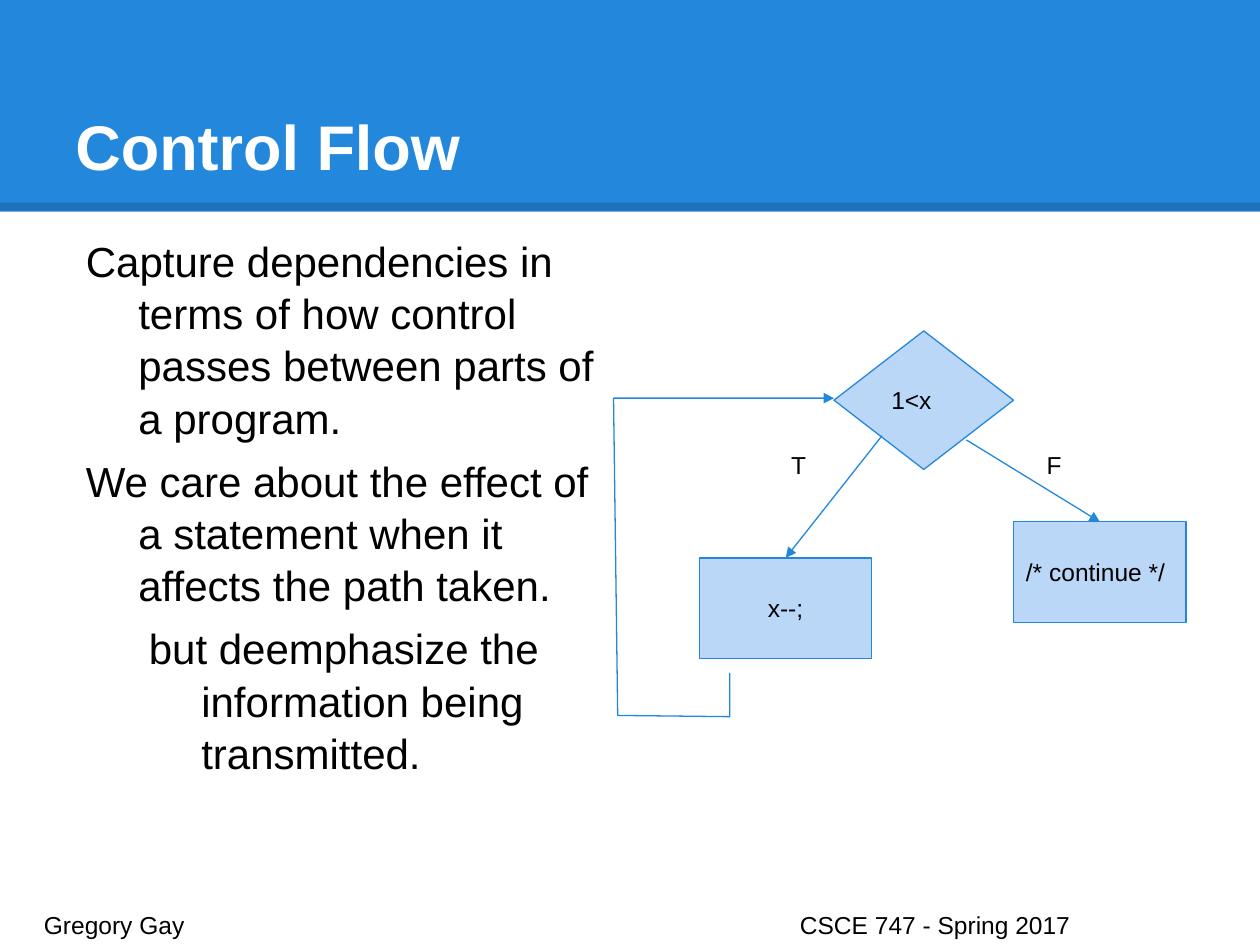
from pptx import Presentation
from pptx.dml.color import RGBColor
from pptx.enum.shapes import MSO_CONNECTOR, MSO_SHAPE
from pptx.enum.text import MSO_ANCHOR, PP_ALIGN
from pptx.oxml.ns import qn
from pptx.util import Pt
from lxml.etree import SubElement

BLUE, PALE, BLACK, WHITE = "2388DB", "BBD7F8", "000000", "FFFFFF"


def paint(part, tone):
    part.solid()
    part.fore_color.rgb = RGBColor.from_string(tone)


class Deck:
    face = "Arial"
    inset = 7.2
    thin = 0.75

    def __init__(self, wide, high):
        self.show = Presentation()
        self.show.slide_width, self.show.slide_height = Pt(wide), Pt(high)
        self.slide = self.show.slides.add_slide(self.show.slide_layouts[6])
        self.shapes = self.slide.shapes

    def label(self, frame, lines, size, tone=BLACK, bold=False,
              anchor=MSO_ANCHOR.TOP, align=PP_ALIGN.LEFT):
        frame.word_wrap = True
        frame.vertical_anchor = anchor
        frame.margin_left = frame.margin_right = Pt(self.inset)
        frame.margin_top = frame.margin_bottom = Pt(self.inset)
        for i, line in enumerate(lines):
            para = frame.add_paragraph() if i else frame.paragraphs[0]
            para.text = line
            para.alignment = align
            font = para.font
            font.name, font.size, font.bold = self.face, Pt(size), bold
            paint(font.fill, tone)
        return frame.paragraphs

    def text(self, box, lines, size, **style):
        item = self.shapes.add_textbox(*map(Pt, box))
        return self.label(item.text_frame, lines, size, **style)

    def body(self, box, items, size):
        paras = self.text(box, [line for line, _ in items], size)
        for i, (para, (_, left)) in enumerate(zip(paras, items)):
            para.line_spacing = 1.04
            if i:
                para.space_before = Pt(6)
            props = para._p.get_or_add_pPr()
            props.set("marL", str(Pt(left)))
            props.set("indent", str(Pt(-30)))

    def foot(self, box, line, stop, size):
        para = self.text(box, [line], size)[0]
        props = para._p.get_or_add_pPr()
        tabs = SubElement(props, qn("a:tabLst"))
        SubElement(tabs, qn("a:tab"), pos=str(Pt(stop)), algn="l")
        props.insert(0, tabs)

    def band(self, box, tone):
        item = self.shapes.add_shape(MSO_SHAPE.RECTANGLE, *map(Pt, box))
        item.shadow.inherit = False
        paint(item.fill, tone)
        item.line.fill.background()

    def node(self, kind, box, words, align=PP_ALIGN.LEFT):
        item = self.shapes.add_shape(kind, *map(Pt, box))
        item.shadow.inherit = False
        paint(item.fill, PALE)
        self.stroke(item.line, BLUE, self.thin)
        self.label(item.text_frame, [words], 14,
                   anchor=MSO_ANCHOR.MIDDLE, align=align)

    def stroke(self, line, tone, width, head=False):
        paint(line.fill, tone)
        line.width = Pt(width)
        if head:
            SubElement(line._get_or_add_ln(), qn("a:tailEnd"), type="triangle")

    def line(self, start, end, tone=BLUE, width=thin, head=True, alpha=None):
        item = self.shapes.add_connector(
            MSO_CONNECTOR.STRAIGHT, *map(Pt, start + end))
        self.stroke(item.line, tone, width, head)
        SubElement(item._element.spPr, qn("a:effectLst"))
        if alpha:
            hue = item.line._get_or_add_ln().find(".//" + qn("a:srgbClr"))
            SubElement(hue, qn("a:alpha"), val=str(alpha * 1000))

    def route(self, spots):
        spots = [(Pt(x), Pt(y)) for x, y in spots]
        trail = self.shapes.build_freeform(*spots[0])
        trail.add_line_segments(spots[1:], close=False)
        item = trail.convert_to_shape()
        item.shadow.inherit = False
        item.fill.background()
        self.stroke(item.line, BLUE, self.thin, True)

    def save(self):
        self.show.save("out.pptx")


def main():
    deck = Deck(720, 540)
    deck.band((0, 0, 720, 121), BLUE)
    deck.line((0, 118.1), (720, 118.1), BLACK, 4.5, head=False, alpha=15)
    deck.text((36, 21.6, 648, 90), ["Control Flow"], 36, tone=WHITE,
              bold=True, anchor=MSO_ANCHOR.BOTTOM)
    deck.body((36, 126, 314.6, 391), [
        ("Capture dependencies in terms of how control passes between "
         "parts of a program.", 36),
        ("We care about the effect of a statement when it affects the "
         "path taken.", 36),
        ("but deemphasize the information being transmitted.", 72),
    ], 24)
    deck.foot((18, 512.6, 684.7, 21.6),
              "Gregory Gay\tCSCE 747 - Spring 2017", 432, 14)

    deck.node(MSO_SHAPE.RECTANGLE, (399.6, 318.8, 98.6, 57.5), "x--;",
              PP_ALIGN.CENTER)
    deck.node(MSO_SHAPE.RECTANGLE, (579.2, 298.2, 98.6, 57.5),
              "/* continue */")
    deck.line((552.2, 251.4), (628.5, 298.2))
    deck.node(MSO_SHAPE.DIAMOND, (476.6, 189.1, 102.6, 79.2), "1<x")
    deck.line((504, 249), (449, 318.8))
    for left, mark in ((445, "T"), (591, "F")):
        deck.text((left, 249.8, 31.7, 21.6), [mark], 14)
    deck.route([(417, 384.5), (417, 409.5), (353, 408.8),
                (350.6, 227.5), (476.6, 227.5)])
    deck.save()


if __name__ == "__main__":
    main()
